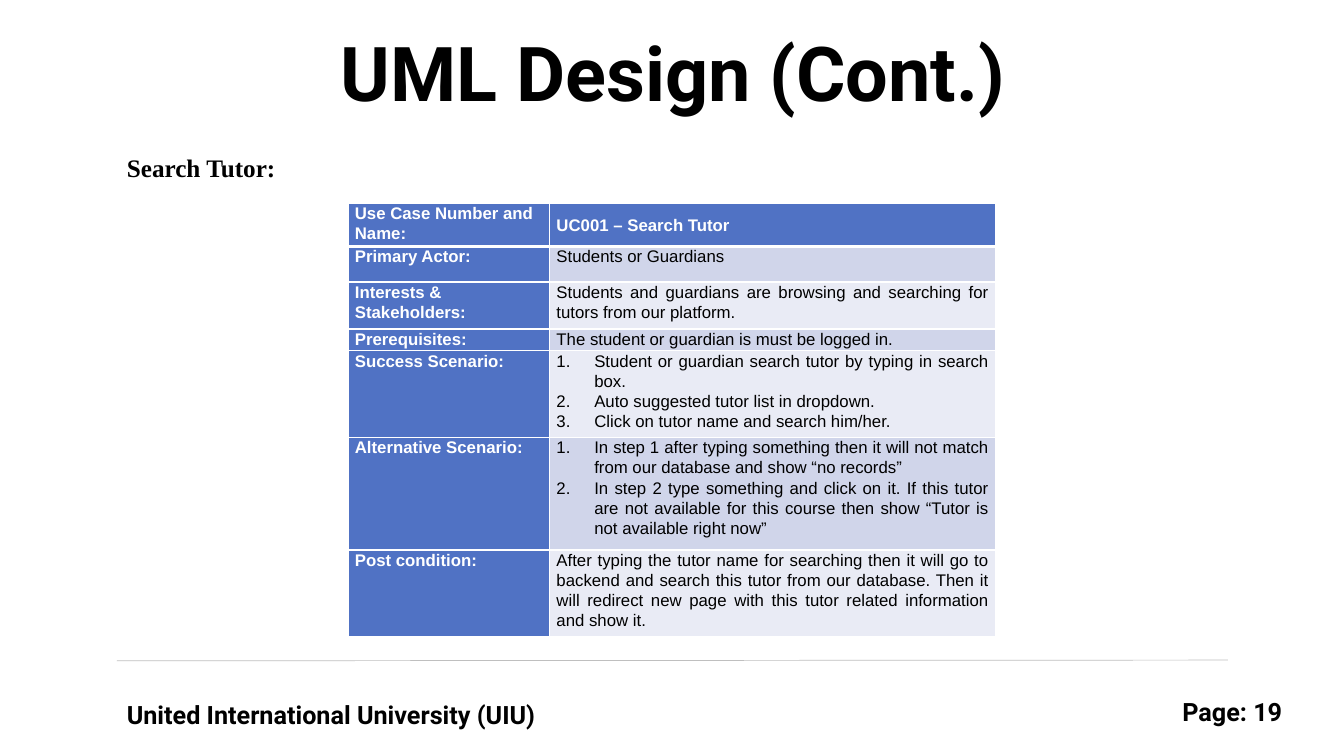
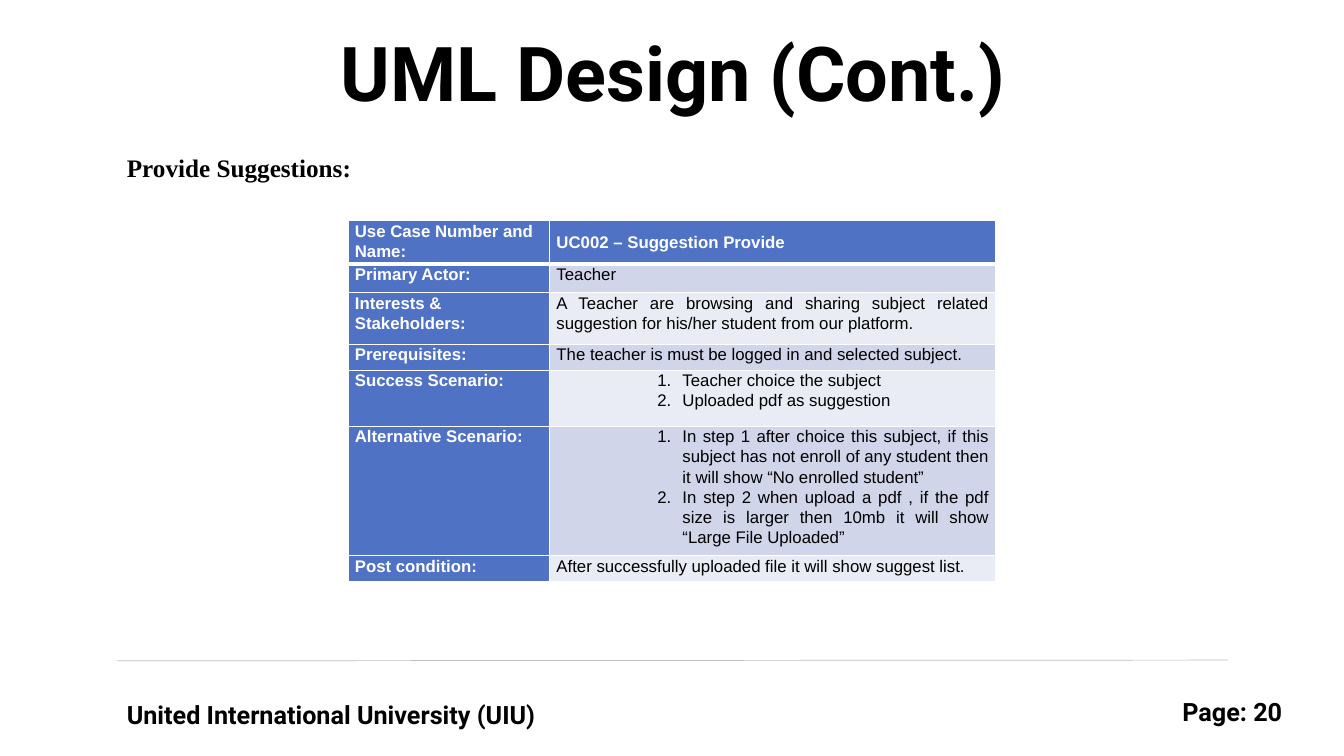
from dataclasses import dataclass

from lxml.etree import SubElement
from pptx import Presentation
from pptx.dml.color import RGBColor
from pptx.enum.shapes import MSO_CONNECTOR
from pptx.enum.text import MSO_ANCHOR, MSO_AUTO_SIZE, PP_ALIGN
from pptx.oxml.ns import qn
from pptx.util import Pt


@dataclass(frozen=True)
class Theme:
    """Colours, typefaces and type sizes of the deck."""
    ink: RGBColor = RGBColor(0, 0, 0)
    paper: RGBColor = RGBColor(255, 255, 255)
    head: RGBColor = RGBColor.from_string("5072C4")
    bands: tuple = (RGBColor.from_string("E9EBF5"), RGBColor.from_string("D0D5EA"))
    rule: RGBColor = RGBColor.from_string("BFBFBF")
    display: str = "Roboto"
    serif: str = "Times New Roman"
    sans: str = "Arial"
    title: int = 54
    label: int = 18
    cell: int = 12


T = Theme()
SIZE = (960, 540)
LEFT = 83.5
TABLE_LEFT = 248.5
COLS = (144, 319)
FOOTER = "United International University (UIU)"
LABELS = ("Use Case Number and Name:", "Primary Actor:", "Interests & Stakeholders:",
          "Prerequisites:", "Success Scenario:", "Alternative Scenario:", "Post condition:")
WRAPPED = (0, 2)
CELL = dict(margin_left=Pt(5), margin_right=Pt(5), margin_top=0, margin_bottom=0)

CASES = [
    dict(heading="Search Tutor:", page=19, top=145, indent=(27, -27),
         heights=(31, 25.5, 33.5, 15, 62, 80.5, 61.5),
         values=(
             "UC001 – Search Tutor",
             "Students or Guardians",
             "Students and guardians are browsing and searching for tutors from our platform.",
             "The student or guardian is must be logged in.",
             ["Student or guardian search tutor by typing in search box.",
              "Auto suggested tutor list in dropdown.",
              "Click on tutor name and search him/her."],
             ["In step 1 after typing something then it will not match from our database "
              "and show “no records”",
              "In step 2 type something and click on it. If this tutor are not available "
              "for this course then show “Tutor is not available right now”"],
             "After typing the tutor name for searching then it will go to backend and search "
             "this tutor from our database. Then it will redirect new page with this tutor "
             "related information and show it.")),
    dict(heading="Provide Suggestions:", page=20, top=157.5, indent=(90, -18),
         heights=(31, 20.5, 37, 18.5, 40, 92, 18.5),
         values=(
             "UC002 – Suggestion Provide",
             "Teacher",
             "A Teacher are browsing and sharing subject related suggestion for his/her "
             "student from our platform.",
             "The teacher is must be logged in and selected subject.",
             ["Teacher choice the subject", "Uploaded pdf as suggestion"],
             ["In step 1 after choice this subject, if this subject has not enroll of any "
              "student then it will show “No enrolled student”",
              "In step 2 when upload a pdf , if the pdf size is larger then 10mb it will show "
              "“Large File Uploaded”"],
             "After successfully uploaded file it will show suggest list.")),
]


def put(obj, **fmt):
    """Set each format value as an attribute of the object."""
    for name, value in fmt.items():
        setattr(obj, name, value)


def write(p, text, font, size, color, bold=True, **fmt):
    """Fill a paragraph with one formatted run."""
    r = p.add_run()
    r.text = text
    put(p, **fmt)
    put(r.font, name=font, size=Pt(size), bold=bold)
    r.font.color.rgb = color


def number(p, indent):
    """Number a paragraph with a hanging indent."""
    left, hang = indent
    pPr = p._p.get_or_add_pPr()
    pPr.set("marL", str(Pt(left)))
    pPr.set("indent", str(Pt(hang)))
    SubElement(pPr, qn("a:buFont"), typeface="+mj-lt")
    SubElement(pPr, qn("a:buAutoNum"), type="arabicPeriod")


def border(cell, top=1, bottom=1):
    """Draw the white borders of a cell."""
    tcPr = cell._tc.get_or_add_tcPr()
    for side, width in dict(L=1, R=1, T=top, B=bottom).items():
        ln = SubElement(tcPr, qn("a:ln" + side), w=str(Pt(width)))
        fill = SubElement(ln, qn("a:solidFill"))
        SubElement(fill, qn("a:srgbClr"), val=str(T.paper))


def add_title(s, text, box):
    """Move and format the title placeholder."""
    sp = s.shapes.title
    put(sp, **dict(zip(("left", "top", "width", "height"), map(Pt, box))))
    tf = sp.text_frame
    put(tf, vertical_anchor=MSO_ANCHOR.MIDDLE, auto_size=MSO_AUTO_SIZE.NONE, word_wrap=True)
    write(tf.paragraphs[0], text, T.display, T.title, T.ink,
          alignment=PP_ALIGN.CENTER, line_spacing=0.9, space_after=Pt(6))


def add_label(s, text, box, font, align=PP_ALIGN.LEFT):
    """Place a bold one-line label."""
    tf = s.shapes.add_textbox(*map(Pt, box)).text_frame
    put(tf, word_wrap=True, vertical_anchor=MSO_ANCHOR.MIDDLE)
    write(tf.paragraphs[0], text, font, T.label, T.ink, alignment=align)


def add_footer(s, page, box):
    """Place the rule, the institution and the page number."""
    x, y, w, h = box
    ln = s.shapes.add_connector(MSO_CONNECTOR.STRAIGHT, Pt(x), Pt(y), Pt(x + w), Pt(y - 0.5))
    put(ln.line, width=Pt(0.5))
    ln.line.color.rgb = T.rule
    SubElement(ln._element.spPr, qn("a:effectLst"))
    add_label(s, FOOTER, (x, y + 24, 330, h), T.display)
    add_label(s, f"Page: {page}", (x + w - 44, y + 21.5, 90, h), T.display, PP_ALIGN.RIGHT)


def fill_cell(cell, row, texts, is_label, indent=None):
    """Format one table cell and write its paragraphs."""
    header = row == 0
    strong = header or is_label
    put(cell, **CELL)
    cell.vertical_anchor = MSO_ANCHOR.MIDDLE if header and not is_label else MSO_ANCHOR.TOP
    border(cell, top=3 if row == 1 else 1, bottom=3 if header else 1)
    cell.fill.solid()
    cell.fill.fore_color.rgb = T.head if strong else T.bands[row % 2]
    left = header or (is_label and row in WRAPPED)
    align = PP_ALIGN.LEFT if left else PP_ALIGN.JUSTIFY
    tf = cell.text_frame
    for i, text in enumerate(texts):
        p = tf.add_paragraph() if i else tf.paragraphs[0]
        write(p, text, T.sans, T.cell, T.paper if strong else T.ink, strong,
              alignment=align, line_spacing=1.07)
        if indent:
            number(p, indent)


def add_case_table(s, case, box):
    """Place the use case table."""
    values, heights = case["values"], case["heights"]
    tbl = s.shapes.add_table(len(LABELS), len(COLS), *map(Pt, box)).table
    put(tbl, horz_banding=False)
    for col, width in zip(tbl.columns, COLS):
        col.width = Pt(width)
    for i, (label, value, height) in enumerate(zip(LABELS, values, heights)):
        tbl.rows[i].height = Pt(height)
        steps = isinstance(value, list)
        fill_cell(tbl.cell(i, 0), i, [label], True)
        fill_cell(tbl.cell(i, 1), i, value if steps else [value], False,
                  case["indent"] if steps else None)


def add_case_slide(prs, case):
    """Build one use case slide."""
    s = prs.slides.add_slide(prs.slide_layouts[5])
    add_title(s, "UML Design (Cont.)", (25, 26.5, 911.5, 57))
    add_label(s, case["heading"], (LEFT, 105, 805, 29), T.serif)
    add_case_table(s, case, (TABLE_LEFT, case["top"], sum(COLS), sum(case["heights"])))
    add_footer(s, case["page"], (LEFT, 472, 793.5, 29))


def main():
    """Build and save the deck."""
    prs = Presentation()
    put(prs, **dict(zip(("slide_width", "slide_height"), map(Pt, SIZE))))
    for case in CASES:
        add_case_slide(prs, case)
    prs.save("out.pptx")


if __name__ == "__main__":
    main()
